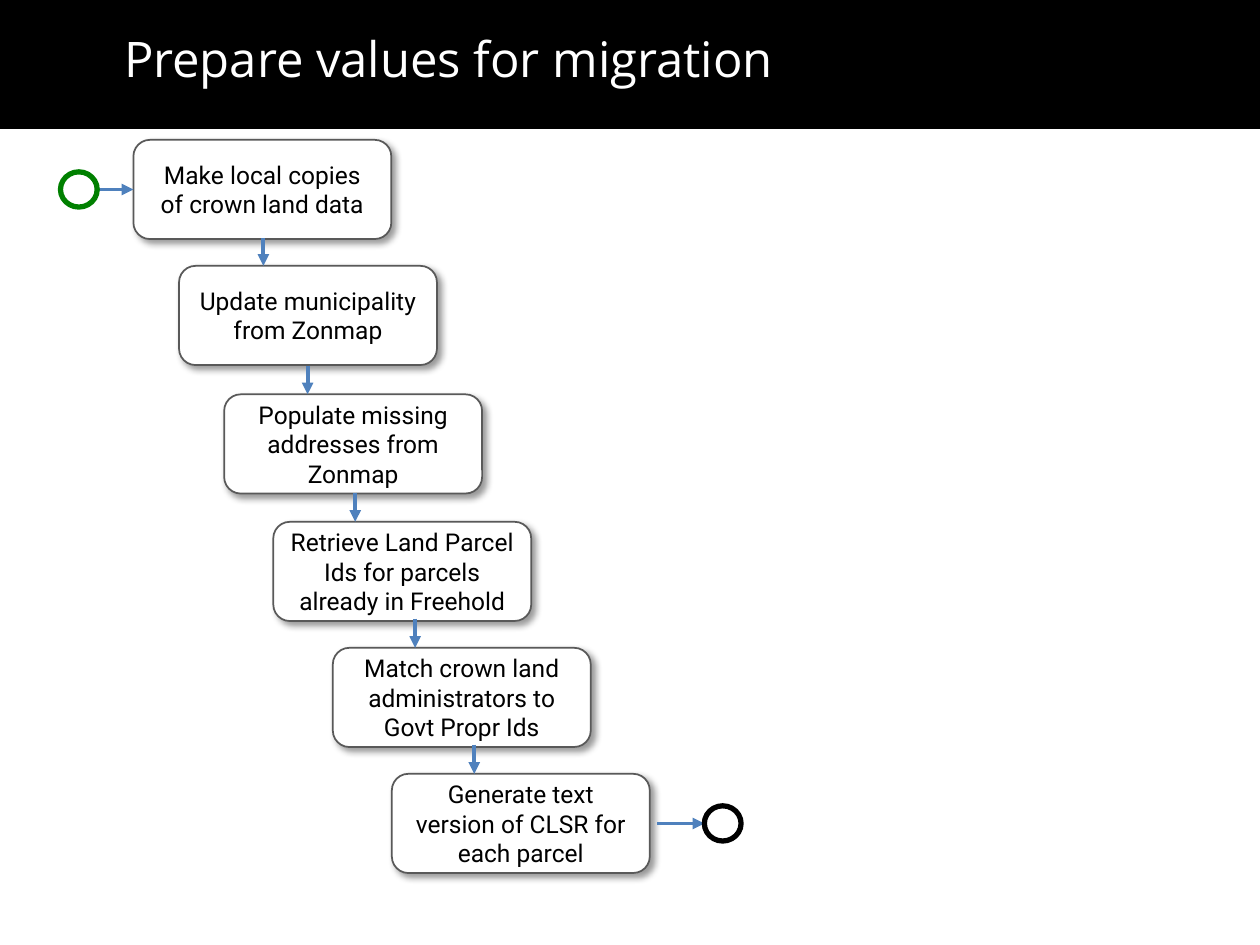
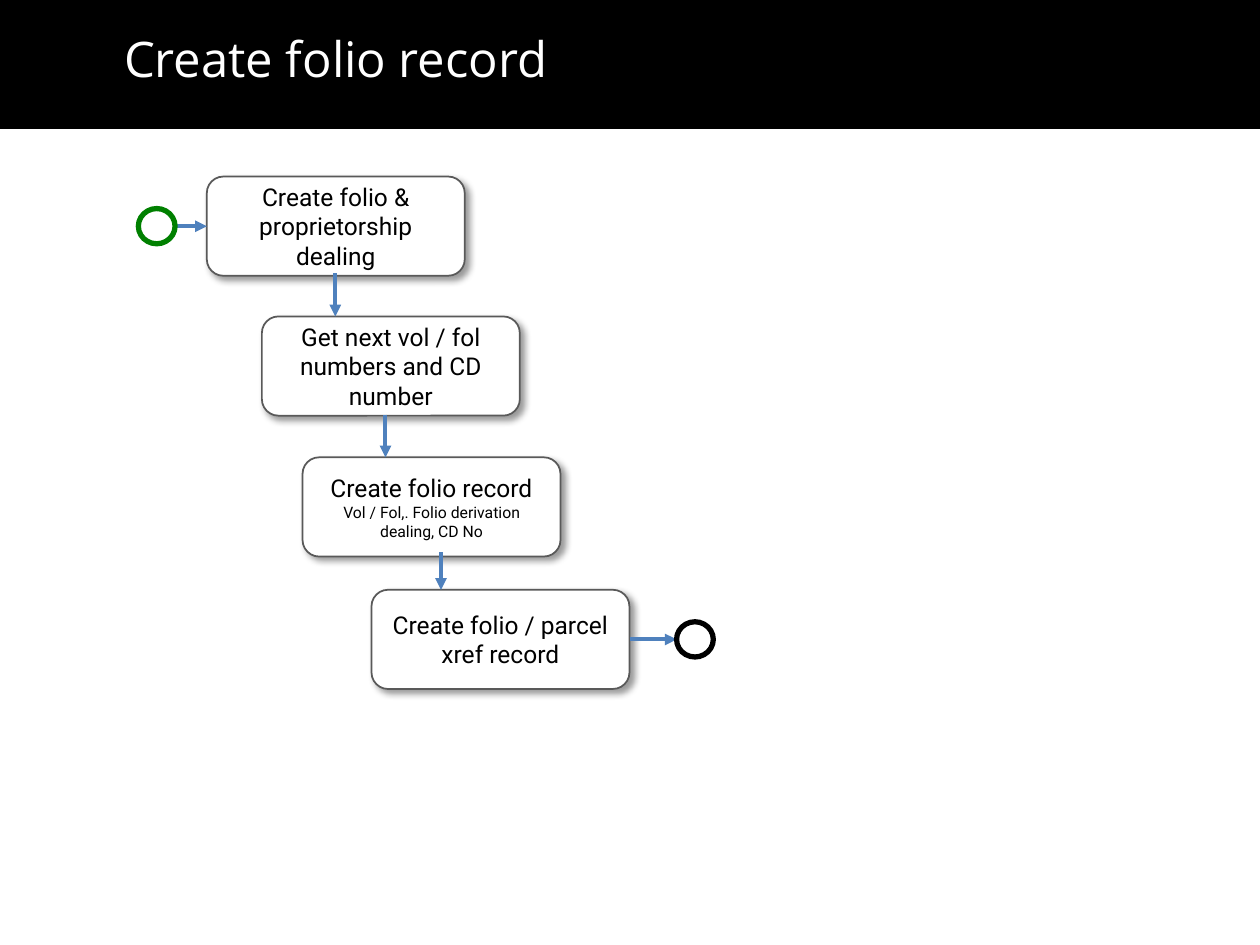
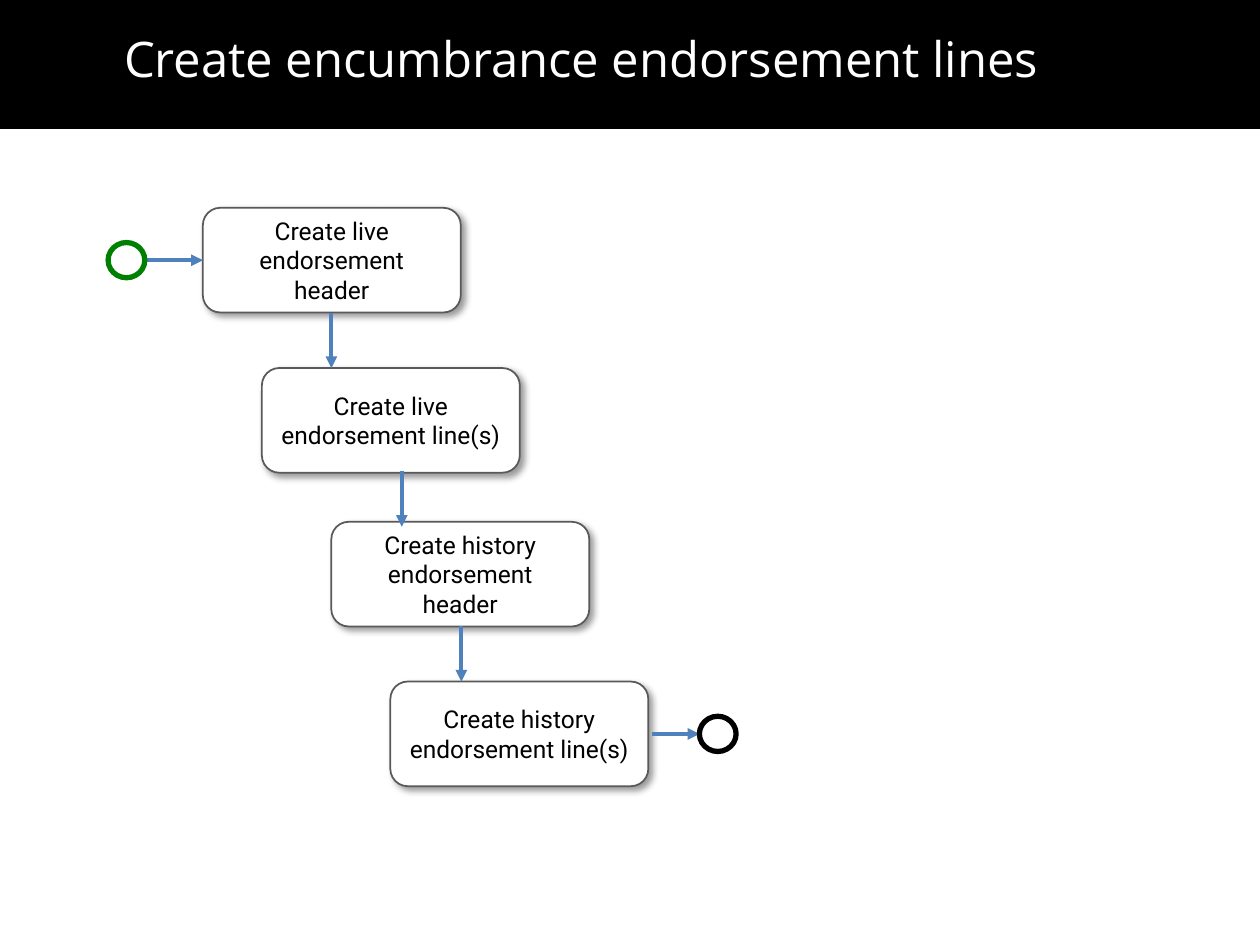
from lxml import etree
from pptx import Presentation
from pptx import util as u
from pptx.dml.color import RGBColor
from pptx.enum import shapes, text
from pptx.oxml import ns, parse_xml

BLACK = RGBColor(0x00, 0x00, 0x00)
WHITE = RGBColor(0xFF, 0xFF, 0xFF)
GREEN = RGBColor(0x00, 0x80, 0x00)
BLUE = RGBColor(0x4F, 0x81, 0xBD)
GREY = RGBColor(0x59, 0x59, 0x59)
HEAD, BODY = "Open Sans", "Roboto"
BOX_W = 5.2
RING_W, RING_H = 0.74, 0.71
EXIT = 0.95
SHADOW = (
    f'<a:outerShdw {ns.nsdecls("a")} blurRad="50800" dist="38100" dir="2700000"'
    ' algn="tl" rotWithShape="0"><a:srgbClr val="000000">'
    '<a:alpha val="40000"/></a:srgbClr></a:outerShdw>'
)

FLOWS = [
    {
        "title": "Prepare values for migration",
        "tall": 2.0,
        "rings": (1.22, 14.2),
        "steps": [
            (2.69, 2.82, "Make local copies of crown land data"),
            (3.61, 5.36, "Update municipality from Zonmap"),
            (4.52, 7.95, "Populate missing addresses from Zonmap"),
            (5.51, 10.52, "Retrieve Land Parcel Ids for parcels already in Freehold"),
            (6.71, 13.06, "Match crown land administrators to Govt Propr Ids"),
            (7.9, 15.6, "Generate text version of CLSR for each parcel"),
        ],
        "drops": [
            (5.31, 4.8, 5.36),
            (6.2, 7.37, 7.95),
            (7.16, 9.93, 10.52),
            (8.37, 12.47, 13.06),
            (9.56, 15.01, 15.6),
        ],
    },
    {
        "title": "Create folio record",
        "tall": 2.0,
        "rings": (2.79, 13.64),
        "steps": [
            (4.17, 3.56, "Create folio & proprietorship dealing"),
            (5.28, 6.38, "Get next vol / fol numbers and CD number"),
            (6.1, 9.22, "Create folio record\nVol / Fol,. Folio derivation dealing, CD No"),
            (7.49, 11.89, "Create folio / parcel xref record"),
        ],
        "drops": [
            (6.76, 5.51, 6.38),
            (7.77, 8.36, 9.22),
            (8.89, 11.13, 11.89),
        ],
    },
    {
        "title": "Create encumbrance endorsement lines",
        "tall": 2.11,
        "rings": (2.18, 14.1),
        "steps": [
            (4.09, 4.19, "Create live endorsement header"),
            (5.28, 7.42, "Create live endorsement line(s)"),
            (6.68, 10.52, "Create history endorsement header"),
            (7.87, 13.74, "Create history endorsement line(s)"),
        ],
        "drops": [
            (6.68, 6.3, 7.42),
            (8.1, 9.5, 10.62),
            (9.3, 12.62, 13.74),
        ],
    },
]


def style(para, font, size, color):
    for run in para.runs:
        run.font.name = font
        run.font.size = u.Pt(size)
        run.font.color.rgb = color


def add_title(slide, words):
    band = slide.shapes.title
    band.left, band.top = u.Cm(0), u.Cm(0)
    band.width, band.height = u.Cm(25.4), u.Cm(2.6)
    band.fill.solid()
    band.fill.fore_color.rgb = BLACK
    frame = band.text_frame
    frame.text = words
    frame.word_wrap = True
    frame.auto_size = text.MSO_AUTO_SIZE.NONE
    frame.vertical_anchor = text.MSO_ANCHOR.TOP
    frame.margin_left, frame.margin_right = u.Cm(2.5), u.Cm(0.25)
    frame.margin_top = frame.margin_bottom = u.Cm(0.71)
    para = frame.paragraphs[0]
    para.alignment = text.PP_ALIGN.LEFT
    para.line_spacing = 0.9
    style(para, HEAD, 28, WHITE)


def add_form(slide, kind, left, top, width, height, color, weight):
    form = slide.shapes.add_shape(
        kind, u.Cm(left), u.Cm(top), u.Cm(width), u.Cm(height))
    form.fill.solid()
    form.fill.fore_color.rgb = WHITE
    form.line.color.rgb = color
    form.line.width = u.Pt(weight)
    form.shadow.inherit = False
    return form


def add_step(slide, left, top, height, words):
    box = add_form(slide, shapes.MSO_SHAPE.ROUNDED_RECTANGLE,
                   left, top, BOX_W, height, GREY, 1)
    box._element.spPr.find(ns.qn("a:effectLst")).append(parse_xml(SHADOW))
    frame = box.text_frame
    frame.text = words
    frame.word_wrap = True
    frame.vertical_anchor = text.MSO_ANCHOR.MIDDLE
    for para, size in zip(frame.paragraphs, (14, 9)):
        para.alignment = text.PP_ALIGN.CENTER
        style(para, BODY, size, BLACK)


def add_ring(slide, left, mid, color):
    add_form(slide, shapes.MSO_SHAPE.OVAL,
             left, mid - RING_H / 2, RING_W, RING_H, color, 3)


def add_arrow(slide, x1, y1, x2, y2):
    arrow = slide.shapes.add_connector(
        shapes.MSO_CONNECTOR.STRAIGHT, u.Cm(x1), u.Cm(y1), u.Cm(x2), u.Cm(y2))
    arrow.line.color.rgb = BLUE
    arrow.line.width = u.Pt(2.25)
    props = arrow._element.spPr
    etree.SubElement(props.find(ns.qn("a:ln")), ns.qn("a:tailEnd"), type="triangle")
    etree.SubElement(props, ns.qn("a:effectLst"))


def add_flow(deck, flow):
    slide = deck.slides.add_slide(deck.slide_layouts[5])
    add_title(slide, flow["title"])
    steps, tall = flow["steps"], flow["tall"]
    for left, top, words in steps:
        add_step(slide, left, top, tall, words)
    for x, top, end in flow["drops"]:
        add_arrow(slide, x, top, x, end)
    start, stop = flow["rings"]
    first, last = (step[1] + tall / 2 for step in (steps[0], steps[-1]))
    add_arrow(slide, start + RING_W, first, steps[0][0], first)
    add_arrow(slide, stop - EXIT, last, stop, last)
    add_ring(slide, start, first, GREEN)
    add_ring(slide, stop, last, BLACK)


def main():
    deck = Presentation()
    deck.slide_width, deck.slide_height = u.Cm(25.4), u.Cm(19.05)
    for flow in FLOWS:
        add_flow(deck, flow)
    deck.save("out.pptx")


if __name__ == "__main__":
    main()
